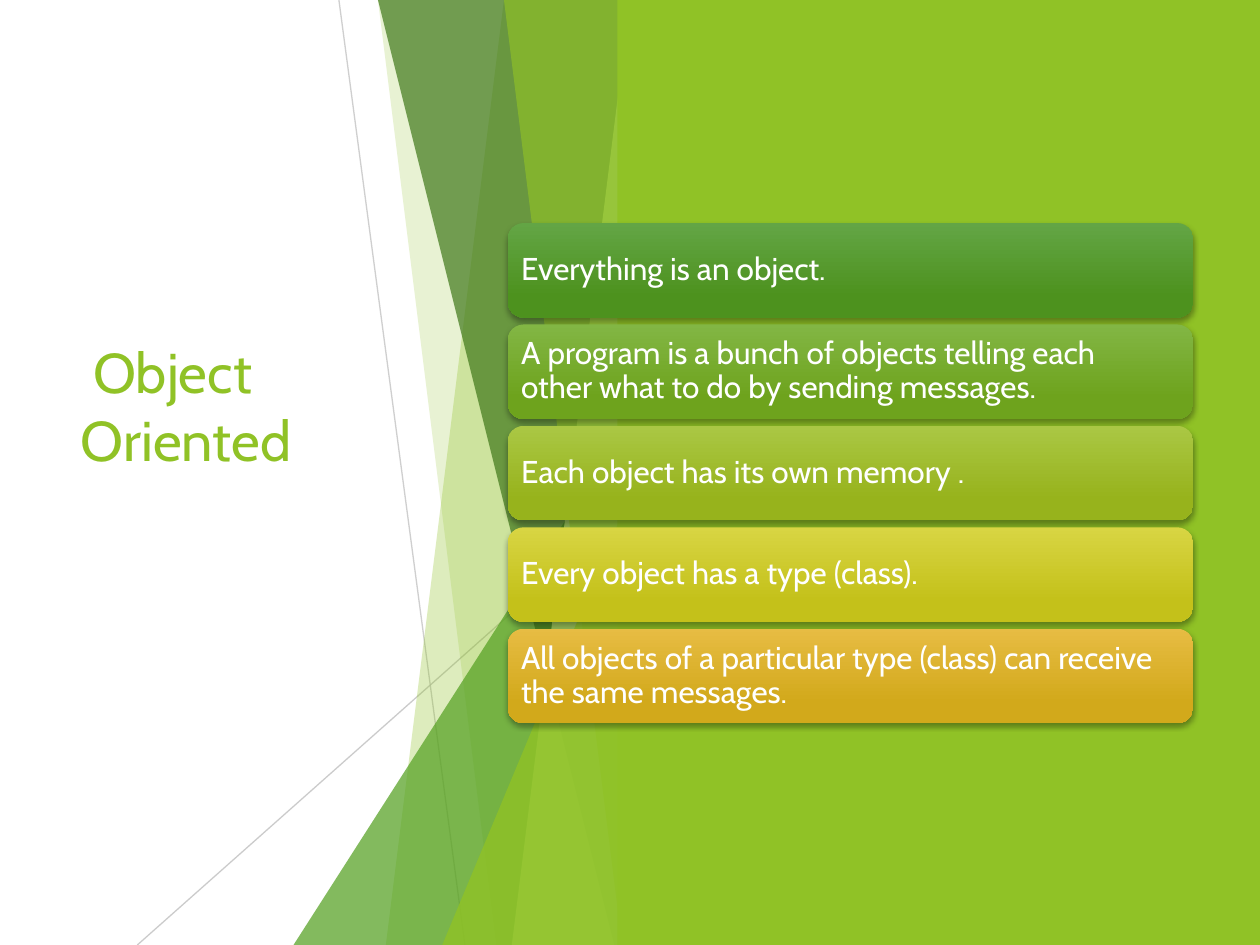
from dataclasses import dataclass

from lxml import etree
from pptx import Presentation
from pptx import util as u
from pptx.dml import color
from pptx.enum import shapes, text
from pptx.oxml import ns


@dataclass(frozen=True)
class Theme:
    font: str = "Cabin"
    title_size: int = 32
    bar_size: int = 18
    line_width: float = 0.75
    white: str = "FFFFFF"
    lime: str = "90C226"
    green: str = "54A021"
    forest: str = "3F7819"
    pale: str = "C0E474"
    gray: str = "BFBFBF"
    shadow: str = "000000"
    bars: tuple = (
        ("63A545", "4D921E"),
        ("82B644", "6EA31D"),
        ("AAC744", "97B31C"),
        ("D8D543", "C4C11A"),
        ("E7BC43", "D2A91B"),
    )


@dataclass(frozen=True)
class Box:
    left: float
    top: float
    width: float
    height: float

    def lengths(self):
        return [u.Inches(v) for v in (self.left, self.top, self.width, self.height)]


THEME = Theme()
# Each inner tuple holds the lines of one bar
PRINCIPLES = (
    ("Everything is an object.",),
    ("A program is a bunch of objects telling each",
     "other what to do by sending messages."),
    ("Each object has its own memory .",),
    ("Every object has a type (class).",),
    ("All objects of a particular type (class) can receive the same messages.",),
)


def rgb(value):
    return color.RGBColor.from_string(value)


def set_alpha(shape, percent):
    """Make the solid colour of a fill or line partly transparent."""
    for node in shape._element.spPr.iter(ns.qn("a:srgbClr")):
        etree.SubElement(node, ns.qn("a:alpha"), val=str(percent * 1000))


def paint(shape, fill, alpha=100):
    shape.shadow.inherit = False
    shape.fill.solid()
    shape.fill.fore_color.rgb = rgb(fill)
    shape.line.fill.background()
    if alpha < 100:
        set_alpha(shape, alpha)


def add_run(paragraph, words, size, fill):
    run = paragraph.add_run()
    run.text = words
    run.font.name = THEME.font
    run.font.size = u.Pt(size)
    run.font.color.rgb = rgb(fill)


def add_title(slide, box):
    title = slide.shapes.title
    title.left, title.top, title.width, title.height = box.lengths()
    frame = title.text_frame
    frame.word_wrap = True
    frame.auto_size = text.MSO_AUTO_SIZE.NONE
    frame.vertical_anchor = text.MSO_ANCHOR.MIDDLE
    frame.margin_bottom = u.Inches(1.12)  # lifts the title above the middle
    paragraph = frame.paragraphs[0]
    paragraph.alignment = text.PP_ALIGN.LEFT
    add_run(paragraph, " Object Oriented", THEME.title_size, THEME.lime)


def add_hairline(slide, box, start, end, alpha):
    connector = slide.shapes.add_connector(
        shapes.MSO_CONNECTOR.STRAIGHT,
        u.Inches(box.left + start[0]), u.Inches(box.top + start[1]),
        u.Inches(box.left + end[0]), u.Inches(box.top + end[1]))
    connector.line.color.rgb = rgb(THEME.gray)
    connector.line.width = u.Pt(THEME.line_width)
    set_alpha(connector, alpha)
    etree.SubElement(connector._element.spPr, ns.qn("a:effectLst"))


def add_facet(slide, box, top_x, bottom_x, fill, alpha):
    """Draw a slanted left edge that runs to the right side of the box."""
    right, bottom = box.left + box.width, box.top + box.height
    builder = slide.shapes.build_freeform(
        box.left + top_x, box.top, scale=u.Inches(1))
    builder.add_line_segments(
        [(right, box.top), (right, bottom), (box.left + bottom_x, bottom)])
    paint(builder.convert_to_shape(), fill, alpha)


def add_wedge(slide, box, left, top, fill, alpha):
    """Draw a triangle in the lower right corner of the box."""
    area = Box(box.left + left, box.top + top, box.width - left, box.height - top)
    wedge = slide.shapes.add_shape(
        shapes.MSO_SHAPE.ISOSCELES_TRIANGLE, *area.lengths())
    wedge.adjustments[0] = 1
    paint(wedge, fill, alpha)


def add_facets(slide, box):
    add_hairline(slide, box, (2.69, 0), (3.69, box.height), 75)
    add_hairline(slide, box, (box.width, 4.03), (1.09, box.height), 80)
    add_facet(slide, box, 4.21, 2.53, THEME.lime, 30)
    add_facet(slide, box, 2.88, 3.87, THEME.lime, 20)
    add_wedge(slide, box, 2.33, 3.33, THEME.green, 72)
    add_facet(slide, box, 2.66, 4.68, THEME.forest, 70)
    add_facet(slide, box, 4.78, 3.94, THEME.pale, 70)
    add_facet(slide, box, 3.97, 4.88, THEME.lime, 65)
    add_wedge(slide, box, 3.51, 3.93, THEME.lime, 80)


def add_panel(slide, box):
    panel = slide.shapes.add_shape(shapes.MSO_SHAPE.RECTANGLE, *box.lengths())
    paint(panel, THEME.lime)


def add_drop_shadow(shape):
    shape.shadow.inherit = False
    effects = shape._element.spPr.find(ns.qn("a:effectLst"))
    shadow = etree.SubElement(
        effects, ns.qn("a:outerShdw"), blurRad=str(u.Pt(3)), dist=str(u.Pt(2)),
        dir="5400000", rotWithShape="0")
    etree.SubElement(shadow, ns.qn("a:srgbClr"), val=THEME.shadow)
    etree.SubElement(shadow[0], ns.qn("a:alpha"), val="35000")


def add_bar(slide, box, lines, colors):
    bar = slide.shapes.add_shape(
        shapes.MSO_SHAPE.ROUNDED_RECTANGLE, *box.lengths())
    bar.line.fill.background()
    bar.fill.gradient()
    bar.fill.gradient_angle = 270
    for stop, position, value in zip(bar.fill.gradient_stops, (0, 0.78), colors):
        stop.position = position
        stop.color.rgb = rgb(value)
    add_drop_shadow(bar)

    frame = bar.text_frame
    frame.word_wrap = True
    frame.vertical_anchor = text.MSO_ANCHOR.MIDDLE
    frame.margin_left = frame.margin_right = u.Inches(0.07)
    frame.margin_top = frame.margin_bottom = u.Inches(0.07)
    paragraph = frame.paragraphs[0]
    paragraph.alignment = text.PP_ALIGN.LEFT
    paragraph.line_spacing = 0.9
    for index, line in enumerate(lines):
        if index:
            paragraph.add_line_break()
        add_run(paragraph, line, THEME.bar_size, THEME.white)


def add_bars(slide, box, bar_height=0.75):
    pitch = (box.height - bar_height) / (len(PRINCIPLES) - 1)
    for row, (lines, colors) in enumerate(zip(PRINCIPLES, THEME.bars)):
        area = Box(box.left, box.top + row * pitch, box.width, bar_height)
        add_bar(slide, area, lines, colors)


def main():
    presentation = Presentation()
    presentation.slide_width = u.Inches(10)
    presentation.slide_height = u.Inches(7.5)
    slide = presentation.slides.add_slide(presentation.slide_layouts[5])
    slide.background.fill.solid()
    slide.background.fill.fore_color.rgb = rgb(THEME.white)

    add_title(slide, Box(0.54, 1.51, 2.91, 4.48))
    add_facets(slide, Box(0, 0, 5, 7.5))
    add_panel(slide, Box(4.9, 0, 5.1, 7.5))
    add_bars(slide, Box(4.03, 1.77, 5.44, 3.97))
    presentation.save("out.pptx")


if __name__ == "__main__":
    main()
